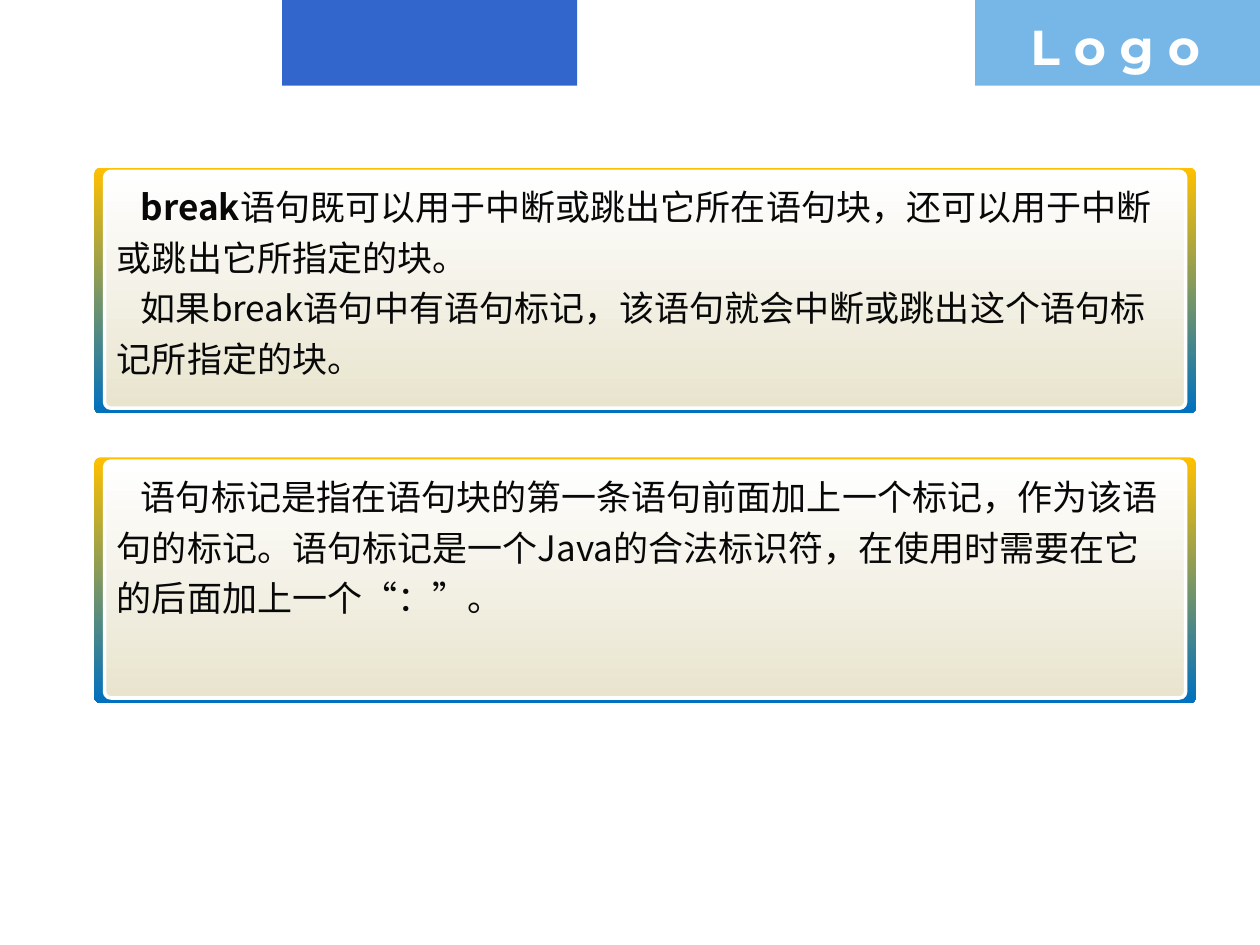
from dataclasses import dataclass

from lxml import etree
from pptx import Presentation
from pptx import util as u
from pptx.dml.color import RGBColor
from pptx.enum import shapes, text
from pptx.oxml.ns import qn

WIDE, HIGH = 10, 7.5
WHITE = RGBColor(0xFF, 0xFF, 0xFF)
INK = RGBColor(0x08, 0x08, 0x08)
ROYAL = RGBColor(0x33, 0x66, 0xCC)
SKY = RGBColor(0x77, 0xB7, 0xE7)
GOLD = RGBColor(0xFF, 0xC0, 0x00)
BLUE = RGBColor(0x00, 0x70, 0xC0)
SAND = RGBColor(0xE8, 0xE4, 0xCE)
HEAD, BODY = "Montserrat", "Noto Sans CJK SC"

BAND = 0.68
TOP, STEP = 1.33, 2.3
LEFT, INDENT = 0.75, 0.19


@dataclass
class Box:
    left: float
    top: float
    width: float
    height: float

    def inches(self) -> list:
        return [u.Inches(v) for v in (self.left, self.top, self.width, self.height)]


@dataclass
class Run:
    words: str
    bold: bool = False


@dataclass
class Card:
    row: int
    paras: list[list[Run]]


CARDS = [
    Card(0, [
        [Run("break", True),
         Run("语句既可以用于中断或跳出它所在语句块，还可以用于中断或跳出它所指定的块。")],
        [Run("如果break语句中有语句标记，该语句就会中断或跳出这个语句标记所指定的块。")],
    ]),
    Card(1, [
        [Run("语句标记是指在语句块的第一条语句前面加上一个标记，作为该语句的标记。"
             "语句标记是一个Java的合法标识符，在使用时需要在它的后面加上一个“：”。")],
    ]),
]


def block(slide, box: Box, color: RGBColor) -> None:
    shape = slide.shapes.add_shape(shapes.MSO_SHAPE.RECTANGLE, *box.inches())
    shape.shadow.inherit = False
    shape.fill.solid()
    shape.fill.fore_color.rgb = color
    shape.line.fill.background()


def panel(slide, box: Box, round_: float, first: RGBColor, last: RGBColor):
    """Draw a rounded box shaded from top to bottom, without a line."""
    shape = slide.shapes.add_shape(shapes.MSO_SHAPE.ROUNDED_RECTANGLE, *box.inches())
    shape.adjustments[0] = round_
    shape.shadow.inherit = False
    shape.fill.gradient()
    shape.fill.gradient_angle = 270
    for stop, color in zip(shape.fill.gradient_stops, (first, last)):
        stop.color.rgb = color
    shape.line.fill.background()
    return shape


def frame(slide, box: Box):
    area = slide.shapes.add_textbox(*box.inches()).text_frame
    area.word_wrap = True
    area.auto_size = text.MSO_AUTO_SIZE.NONE
    return area


def write(para, run: Run, size: int, face: str, color: RGBColor) -> None:
    part = para.add_run()
    part.text = run.words
    font = part.font
    font.size, font.name, font.bold = u.Pt(size), face, run.bold
    font.color.rgb = color
    # East Asian glyphs take their own typeface element
    etree.SubElement(part._r.get_or_add_rPr(), qn("a:ea"), typeface=face)


def draw(slide, card: Card) -> None:
    top = TOP + card.row * STEP
    panel(slide, Box(LEFT, top, 8.74, 1.95), 0.024, GOLD, BLUE)
    inner = Box(LEFT + 0.08, top + 0.03, 8.58, 1.88)
    face = panel(slide, inner, 0.027, WHITE, SAND)
    face.line.color.rgb = WHITE
    face.line.width = u.Pt(2)
    area = frame(slide, inner)
    for i, runs in enumerate(card.paras):
        para = area.add_paragraph() if i else area.paragraphs[0]
        para.line_spacing = 1.2
        para._p.get_or_add_pPr().set("indent", str(u.Inches(INDENT)))
        for run in runs:
            write(para, run, 20, BODY, INK)


def main() -> None:
    deck = Presentation()
    deck.slide_width, deck.slide_height = u.Inches(WIDE), u.Inches(HIGH)
    slide = deck.slides.add_slide(deck.slide_layouts[6])
    block(slide, Box(2.24, 0, 2.34, BAND), ROYAL)
    block(slide, Box(7.74, 0, WIDE - 7.74, BAND), SKY)
    mark = frame(slide, Box(8.08, 0.08, 1.92, 0.57))
    write(mark.paragraphs[0], Run("L o g o", True), 28, HEAD, WHITE)
    for card in reversed(CARDS):
        draw(slide, card)
    deck.save("out.pptx")


if __name__ == "__main__":
    main()
